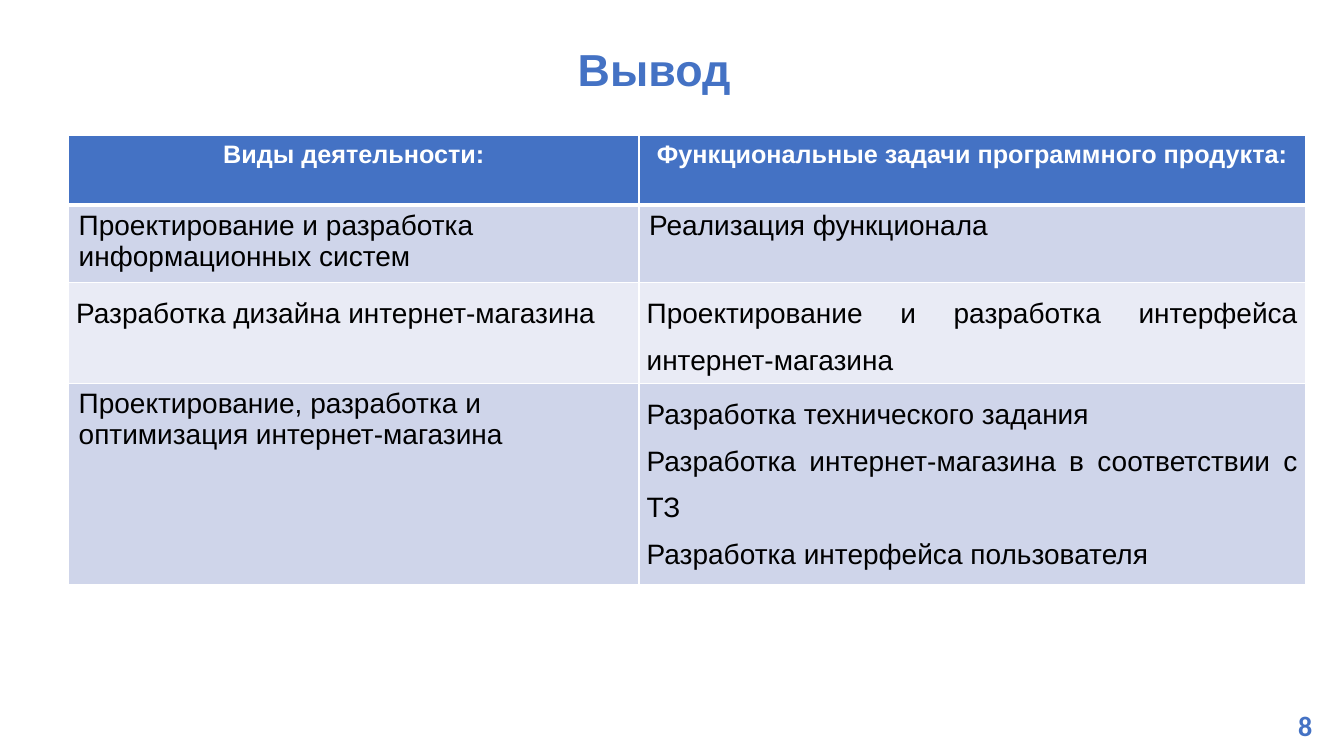
from dataclasses import dataclass

from lxml import etree
from pptx import Presentation
from pptx.dml.color import RGBColor
from pptx.enum.text import MSO_ANCHOR, PP_ALIGN
from pptx.oxml.ns import qn
from pptx.table import _Cell
from pptx.text.text import TextFrame
from pptx.util import Pt

LEFT, CENTER, JUSTIFY = PP_ALIGN.LEFT, PP_ALIGN.CENTER, PP_ALIGN.JUSTIFY
MIDDLE = MSO_ANCHOR.MIDDLE

BLUE = RGBColor(0x44, 0x72, 0xC4)
BAND_DARK = RGBColor(0xCF, 0xD5, 0xEA)
BAND_LIGHT = RGBColor(0xE9, 0xEB, 0xF5)
WHITE = RGBColor(0xFF, 0xFF, 0xFF)
BLACK = RGBColor(0, 0, 0)

TITLE_ONLY = 5
COLUMN_WIDTHS = (407.5, 475.9)


@dataclass(frozen=True)
class Entry:
    lines: tuple[str, ...]
    align: PP_ALIGN = JUSTIFY
    spaced: bool = False  # 1.5 line spacing with tight margins


@dataclass(frozen=True)
class Row:
    height: float
    fill: RGBColor
    entries: tuple[Entry, Entry]
    header: bool = False


ROWS = (
    Row(49.7, BLUE, (
        Entry(("Виды деятельности:",), CENTER),
        Entry(("Функциональные задачи программного продукта:",), CENTER),
    ), header=True),
    Row(55.3, BAND_DARK, (
        Entry(("Проектирование и разработка информационных систем",), LEFT),
        Entry(("Реализация функционала",)),
    )),
    Row(71.8, BAND_LIGHT, (
        Entry(("Разработка дизайна интернет-магазина",), spaced=True),
        Entry(("Проектирование и разработка интерфейса интернет-магазина",), spaced=True),
    )),
    Row(144, BAND_DARK, (
        Entry(("Проектирование, разработка и оптимизация интернет-магазина",), LEFT),
        Entry((
            "Разработка технического задания",
            "Разработка интернет-магазина в соответствии с ТЗ",
            "Разработка интерфейса пользователя",
        ), spaced=True),
    )),
)


def write_text(frame: TextFrame, *lines: str, size: float, color: RGBColor,
               font: str = "Arial", bold: bool = False,
               align: PP_ALIGN = CENTER, spacing: float = 1.0) -> None:
    frame.word_wrap = True
    for index, line in enumerate(lines):
        paragraph = frame.add_paragraph() if index else frame.paragraphs[0]
        paragraph.alignment = align
        paragraph.line_spacing = spacing
        run = paragraph.add_run()
        run.text = line
        run.font.name = font
        run.font.size = Pt(size)
        run.font.bold = bold
        run.font.color.rgb = color


def add_borders(cell: _Cell, top: float, bottom: float) -> None:
    properties = cell._tc.get_or_add_tcPr()
    for side, width in (("L", 1), ("R", 1), ("T", top), ("B", bottom)):
        line = etree.SubElement(properties, qn(f"a:ln{side}"), w=str(Pt(width)))
        fill = etree.SubElement(line, qn("a:solidFill"))
        etree.SubElement(fill, qn("a:srgbClr"), val=str(WHITE))


def fill_cell(cell: _Cell, entry: Entry, row: Row, top: float) -> None:
    add_borders(cell, top, 3 if row.header else 1)
    cell.fill.solid()
    cell.fill.fore_color.rgb = row.fill
    if entry.spaced:
        cell.margin_left = cell.margin_right = Pt(5.4)
        cell.margin_top = cell.margin_bottom = Pt(0)
    write_text(cell.text_frame, *entry.lines, align=entry.align,
               size=18 if row.header else 20, bold=row.header,
               color=WHITE if row.header else BLACK,
               spacing=1.5 if entry.spaced else 1.0)


def main() -> None:
    presentation = Presentation()
    presentation.slide_width, presentation.slide_height = Pt(960), Pt(540)
    slide = presentation.slides.add_slide(presentation.slide_layouts[TITLE_ONLY])

    title = slide.shapes.title
    title.left, title.top, title.width, title.height = Pt(324), Pt(6.5), Pt(286.6), Pt(90)
    title.text_frame.vertical_anchor = MIDDLE
    write_text(title.text_frame, "Вывод", size=32, color=BLUE, bold=True, spacing=0.9)

    page_number = slide.shapes.add_textbox(Pt(910.8), Pt(502.6), Pt(43.2), Pt(31.7))
    write_text(page_number.text_frame, "8", size=20, color=BLUE, font="Calibri", bold=True)

    activities = slide.shapes.add_table(
        len(ROWS), len(COLUMN_WIDTHS), Pt(49), Pt(96.8),
        Pt(sum(COLUMN_WIDTHS)), Pt(sum(row.height for row in ROWS))).table
    for column, width in zip(activities.columns, COLUMN_WIDTHS):
        column.width = Pt(width)
    for row_index, row in enumerate(ROWS):
        activities.rows[row_index].height = Pt(row.height)
        below_header = row_index > 0 and ROWS[row_index - 1].header
        for column_index, entry in enumerate(row.entries):
            fill_cell(activities.cell(row_index, column_index), entry, row,
                      top=3 if below_header else 1)

    presentation.save("out.pptx")


if __name__ == "__main__":
    main()
